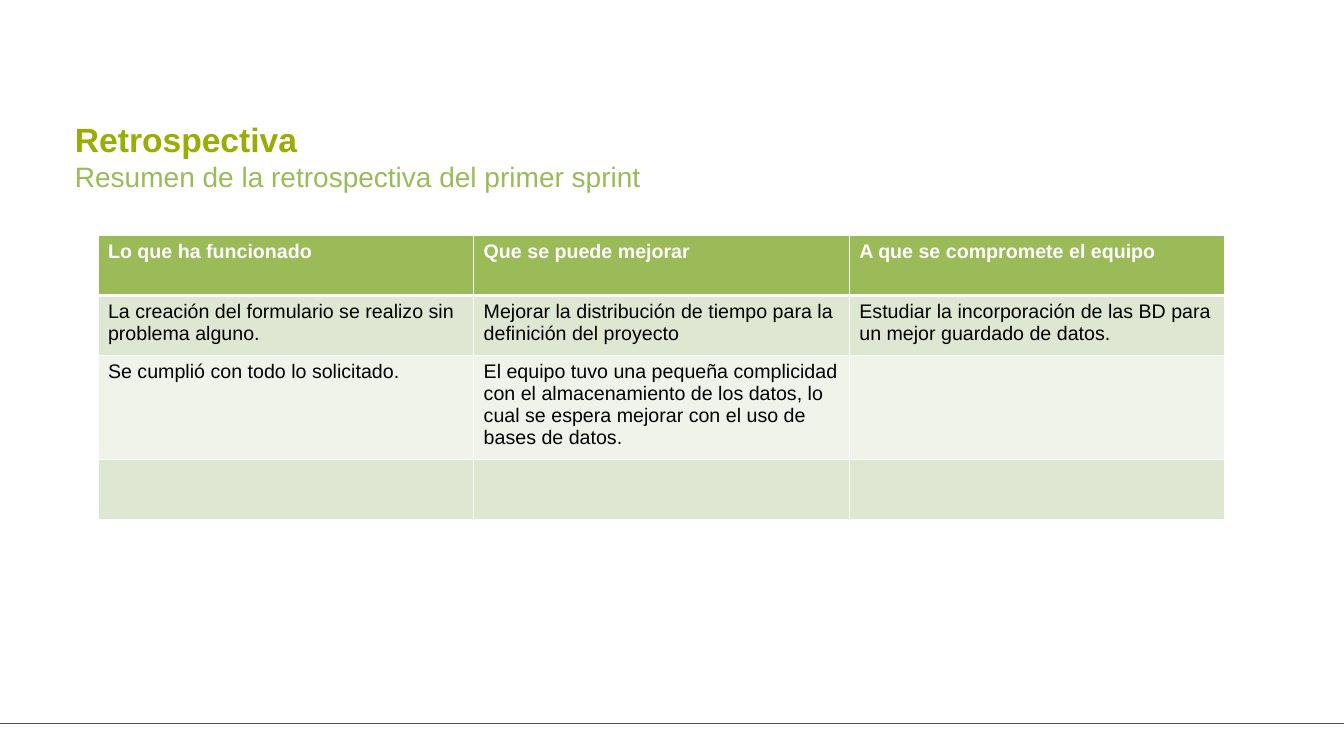
from lxml.etree import SubElement
from pptx import Presentation
from pptx.dml.color import RGBColor
from pptx.enum.shapes import MSO_CONNECTOR
from pptx.enum.text import MSO_AUTO_SIZE
from pptx.oxml.ns import qn
from pptx.util import Pt


def color(value):
    return RGBColor.from_string(value)


class RetrospectiveSlide:
    """Hold the slide style and draw each kind of element in points."""

    font = "Arial"
    green = "9BBB59"
    title_green = "9AAD04"
    bands = ("DEE7D1", "EFF3EA")
    white = "FFFFFF"
    black = "000000"
    gray = "505050"

    def __init__(self, deck):
        self.page = deck.slides.add_slide(deck.slide_layouts[6])

    def add_span(self, para, text, size, ink, bold=False):
        span = para.add_run()
        span.text = text
        span.font.name = self.font
        span.font.size = Pt(size)
        span.font.bold = bold
        span.font.color.rgb = color(ink)

    def text(self, left, top, width, height, text, size, ink, bold=False):
        box = self.page.shapes.add_textbox(Pt(left), Pt(top), Pt(width), Pt(height))
        frame = box.text_frame
        frame.word_wrap = True
        frame.auto_size = MSO_AUTO_SIZE.SHAPE_TO_FIT_TEXT
        frame.margin_left = frame.margin_right = Pt(0)
        frame.margin_top = frame.margin_bottom = Pt(0)
        self.add_span(frame.paragraphs[0], text, size, ink, bold)

    def rule(self, top, width):
        line = self.page.shapes.add_connector(
            MSO_CONNECTOR.STRAIGHT, Pt(0), Pt(top), Pt(width), Pt(top))
        line.line.color.rgb = color(self.gray)
        line.line.width = Pt(0.75)
        SubElement(line._element.spPr, qn("a:effectLst"))

    def border(self, cell, side, weight):
        properties = cell._tc.get_or_add_tcPr()
        edge = SubElement(properties, qn(f"a:{side}"), w=str(Pt(weight)))
        fill = SubElement(edge, qn("a:solidFill"))
        SubElement(fill, qn("a:srgbClr"), val=self.white)

    def table(self, left, top, width, row_height, rows):
        frame = self.page.shapes.add_table(
            len(rows), len(rows[0]), Pt(left), Pt(top), Pt(width), Pt(row_height * len(rows)))
        grid = frame.table
        for row_index, texts in enumerate(rows):
            header = row_index == 0
            grid.rows[row_index].height = Pt(row_height)
            for column_index, text in enumerate(texts):
                cell = grid.cell(row_index, column_index)
                for side in ("lnL", "lnR", "lnT", "lnB"):
                    heavy = (header and side == "lnB") or (row_index == 1 and side == "lnT")
                    self.border(cell, side, 3 if heavy else 1)
                cell.fill.solid()
                cell.fill.fore_color.rgb = color(
                    self.green if header else self.bands[(row_index - 1) % 2])
                if text:
                    ink = self.white if header else self.black
                    self.add_span(cell.text_frame.paragraphs[0], text, 14, ink, header)


def main():
    deck = Presentation()
    deck.slide_width = Pt(960)
    deck.slide_height = Pt(540)
    slide = RetrospectiveSlide(deck)
    slide.rule(516.5, 960)
    slide.text(53.5, 85, 816, 29, "Retrospectiva", 24, slide.title_green, True)
    slide.text(53.5, 114, 854, 24.5, "Resumen de la retrospectiva del primer sprint", 20, slide.green)
    slide.table(70, 168, 805, 43, [
        ("Lo que ha funcionado", "Que se puede mejorar", "A que se compromete el equipo"),
        ("La creación del formulario se realizo sin problema alguno.",
         "Mejorar la distribución de tiempo para la definición del proyecto",
         "Estudiar la incorporación de las BD para un mejor guardado de datos."),
        ("Se cumplió con todo lo solicitado.",
         "El equipo tuvo una pequeña complicidad con el almacenamiento de los datos, "
         "lo cual se espera mejorar con el uso de bases de datos.", ""),
        ("", "", ""),
    ])
    deck.save("out.pptx")


if __name__ == "__main__":
    main()
